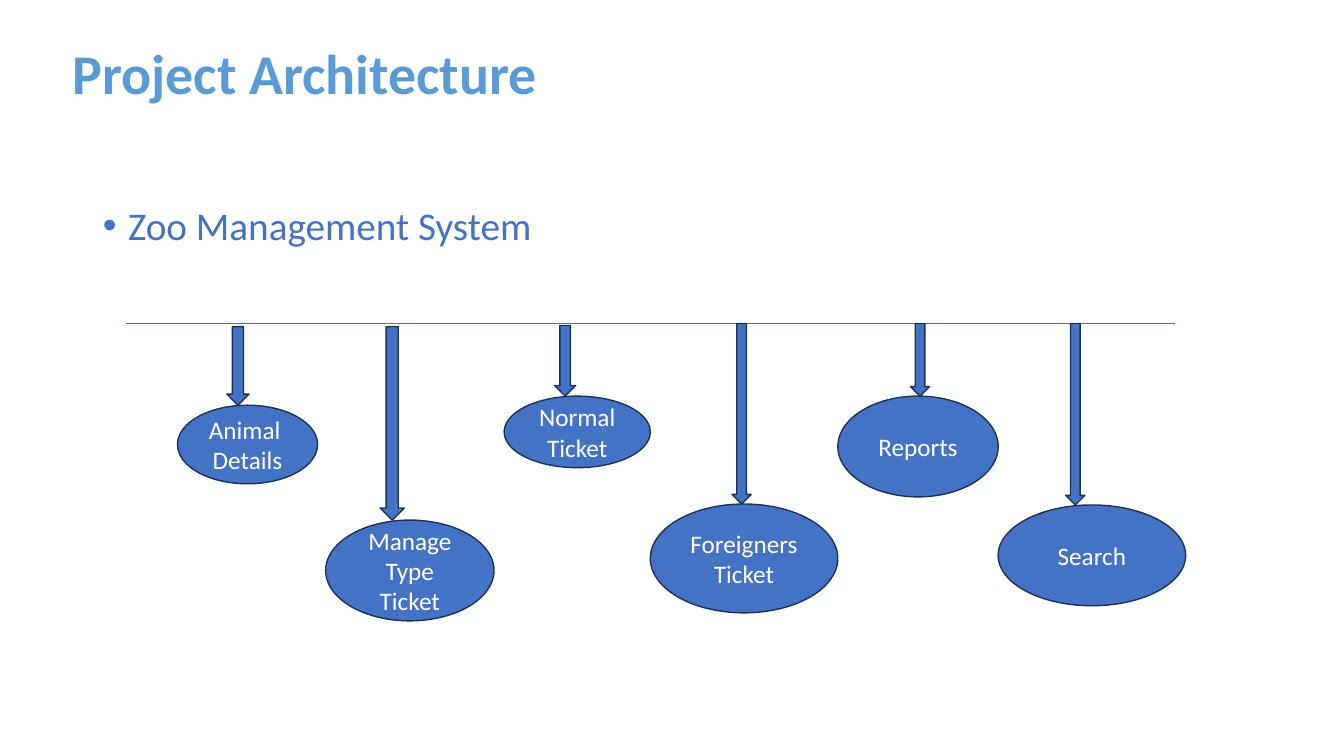
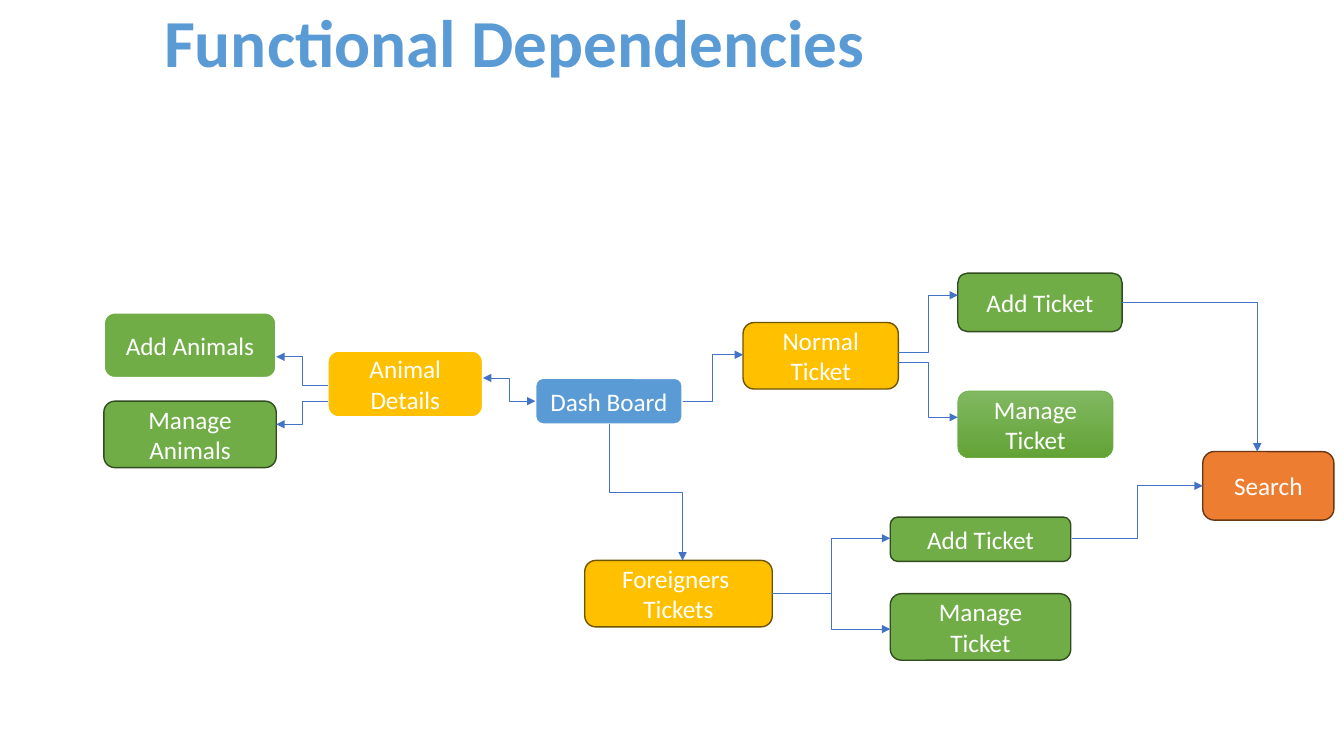
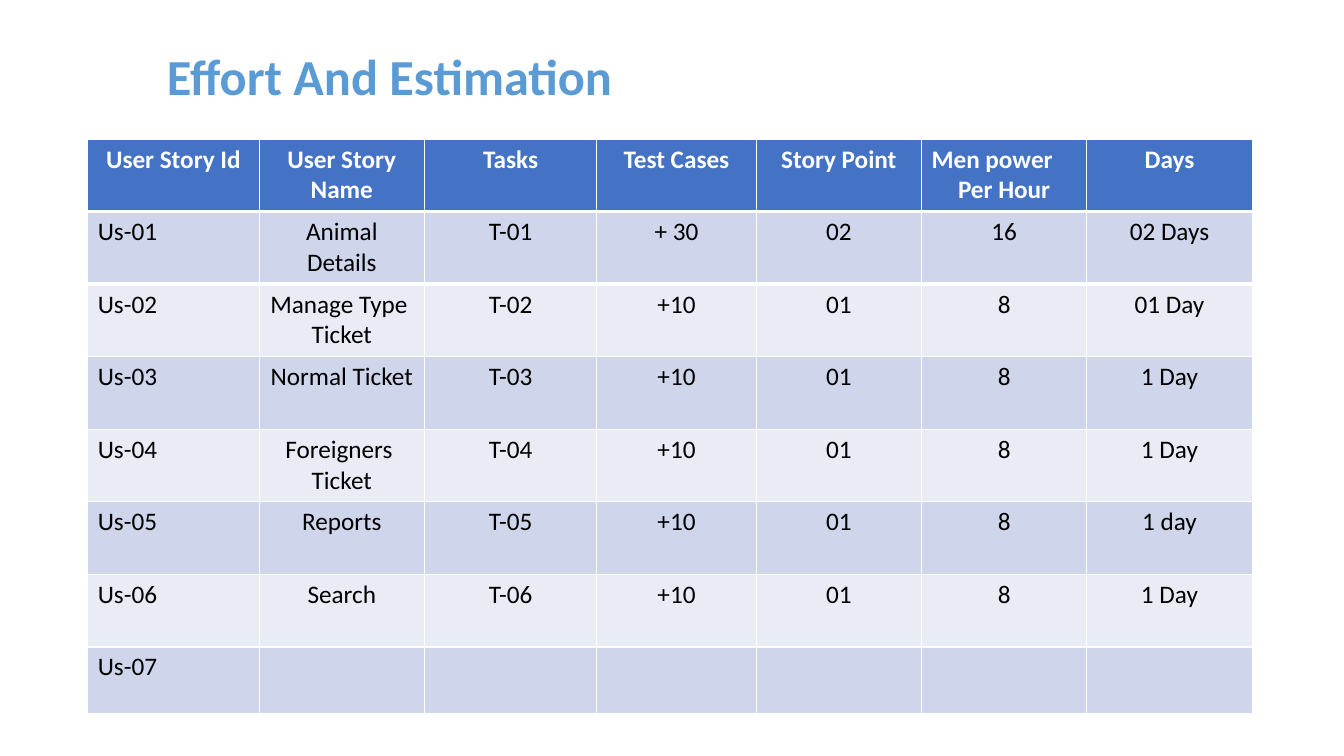
from pptx import Presentation
from pptx.dml.color import RGBColor
from pptx.enum.shapes import MSO_CONNECTOR as LINK, MSO_SHAPE as SHAPE
from pptx.enum.text import MSO_ANCHOR as ANCHOR, MSO_AUTO_SIZE as AUTOSIZE, PP_ALIGN as ALIGN
from pptx.oxml.ns import qn
from pptx.oxml.xmlchemy import OxmlElement
from pptx.util import Inches, Pt

COLORS = {
    "title": "5B9BD5", "blue": "4472C4", "navy": "1E3256", "white": "FFFFFF",
    "black": "000000", "sky": "5B9BD5", "amber": "FFC000", "brown": "705400",
    "green": "70AD47", "forest": "314C1F", "fresh": "81B861", "leaf": "62A336",
    "orange": "ED7D31", "rust": "683715", "band": "CFD5EA", "pale": "E9EBF5",
}
FONT = "Calibri"
LABEL = {"size": Pt(18), "name": FONT, "bold": False}
HEADING = {"name": FONT, "bold": True}
TITLE_FRAME = {"word_wrap": False, "auto_size": AUTOSIZE.NONE, "vertical_anchor": ANCHOR.TOP}
LABEL_FRAME = {"margin_top": 0, "margin_bottom": 0, "vertical_anchor": ANCHOR.MIDDLE}
BULLET = {"line_spacing": 0.9, "space_before": Pt(10)}

MODULES = [
    ("Animal \nDetails", (1.76, 4.02, 1.39, 0.78), (2.25, 3.24, 0.22)),
    ("Manage Type\nTicket", (3.23, 5.16, 1.67, 1), (3.77, 3.24, 0.24)),
    ("Normal\nTicket", (5, 3.93, 1.45, 0.71), (5.5, 3.23, 0.21)),
    ("Foreigners\nTicket", (6.45, 5, 1.86, 1.08), (7.26, 3.21, 0.19)),
    ("Reports", (8.31, 3.93, 1.59, 1), (9.03, 3.21, 0.19)),
    ("Search", (9.9, 5.01, 1.86, 1), (10.57, 3.21, 0.19)),
]
TWO_LINES = 0.66
FUNCTIONS = [
    ("Dash Board", (5.31, 3.75, 1.46, 0.46), "sky", "white", 1.5),
    ("Animal\nDetails", (3.25, 3.48, 1.54, TWO_LINES), "amber", "white", 1.5),
    ("Add Animals", (1.03, 3.1, 1.71, 0.65), "green", "white", 1.5),
    ("Manage Animals", (1.03, 3.98, 1.71, TWO_LINES), "green", "forest", 1),
    ("Normal\nTicket", (7.37, 3.2, 1.54, TWO_LINES), "amber", "brown", 1),
    ("Manage\nTicket", (9.5, 3.88, 1.54, TWO_LINES), ("fresh", "leaf"), "green", 0.5),
    ("Add Ticket", (9.5, 2.71, 1.63, 0.58), "green", "forest", 1),
    ("Foreigners \nTickets", (5.8, 5.56, 1.86, TWO_LINES), "amber", "brown", 1),
    ("Add Ticket", (8.83, 5.13, 1.79, 0.44), "green", "forest", 1),
    ("Manage\nTicket", (8.83, 5.89, 1.79, TWO_LINES), "green", "forest", 1),
    ("Search", (11.93, 4.48, 1.3, 0.68), "orange", "rust", 1),
]
DEPENDENCIES = [
    ((3.25, 3.82), (2.74, 3.54)),
    ((3.25, 3.98), (2.74, 4.21)),
    ((6.77, 3.98), (7.37, 3.52)),
    ((8.91, 3.59), (9.5, 4.14)),
    ((8.91, 3.5), (9.5, 2.93)),
    ((7.66, 5.89), (8.83, 5.34)),
    ((7.66, 5.89), (8.83, 6.24)),
    ((10.63, 5.34), (11.93, 4.82)),
]
HEADERS = ["User Story Id", "User Story\nName", "Tasks", "Test Cases", "Story Point",
           "Men power\nPer Hour", "Days"]
STORIES = [
    ("Animal Details", "+ 30", "02", "16", "02 Days"),
    ("Manage Type \nTicket", "+10", "01", "8", "01 Day"),
    ("Normal Ticket", "+10", "01", "8", "1 Day"),
    ("Foreigners \nTicket", "+10", "01", "8", "1 Day"),
    ("Reports", "+10", "01", "8", "1 day"),
    ("Search", "+10", "01", "8", "1 Day"),
]
COLUMN_WIDTHS = [1.7, 1.64, 1.71, 1.58, 1.64, 1.64, 1.64]
ROW_HEIGHTS = [0.72] * 7 + [0.66]


def rgb(key):
    return RGBColor.from_string(COLORS[key])


def apply(target, values):
    for attribute, value in values.items():
        setattr(target, attribute, value)


def place(shape, box):
    apply(shape, dict(zip(("left", "top", "width", "height"), map(Inches, box))))


def write(frame, text, color, font, align=ALIGN.CENTER):
    frame.text = text
    for paragraph in frame.paragraphs:
        paragraph.alignment = align
        for run in paragraph.runs:
            apply(run.font, font)
            run.font.color.rgb = rgb(color)


def add_slide(deck, layout, title, box, size):
    slide = deck.slides.add_slide(deck.slide_layouts[layout])
    heading = slide.shapes.title
    place(heading, box)
    apply(heading.text_frame, TITLE_FRAME)
    write(heading.text_frame, title, "title", {**HEADING, "size": Pt(size)})
    return slide


def add_block(slide, kind, box, fill, line, weight=1, text=""):
    block = slide.shapes.add_shape(kind, *map(Inches, box))
    block.shadow.inherit = False
    if isinstance(fill, tuple):
        block.fill.gradient()
        block.fill.gradient_angle = 270
        for stop, color in zip(block.fill.gradient_stops, fill):
            stop.color.rgb = rgb(color)
    else:
        block.fill.solid()
        block.fill.fore_color.rgb = rgb(fill)
    block.line.color.rgb = rgb(line)
    block.line.width = Pt(weight)
    if text:
        apply(block.text_frame, LABEL_FRAME)
        write(block.text_frame, text, "white", LABEL)


def add_link(slide, start, end, kind=LINK.ELBOW, ends=("tailEnd",)):
    link = slide.shapes.add_connector(kind, *map(Inches, (*start, *end)))
    link.line.color.rgb = rgb("blue")
    link.line.width = Pt(0.5)
    for tag in ends:
        arrowhead = OxmlElement(f"a:{tag}")
        arrowhead.set("type", "triangle")
        link.line._get_or_add_ln().append(arrowhead)
    properties = link._element.spPr
    properties.append(OxmlElement("a:effectLst"))
    return properties


def add_falling_link(slide, start, end):
    (x1, y1), (x2, y2) = start, end
    middle_x, middle_y = (x1 + x2) / 2, (y1 + y2) / 2
    reach, drop = (x2 - x1) / 2, (y2 - y1) / 2
    properties = add_link(slide, (middle_x + drop, middle_y - reach),
                          (middle_x - drop, middle_y + reach))
    properties.find(qn("a:xfrm")).set("rot", "16200000")


def add_corner_link(slide, start, end):
    properties = add_link(slide, start, end)
    properties.find(qn("a:prstGeom")).set("prst", "bentConnector2")


def add_border(cell, side, weight):
    border = OxmlElement(f"a:{side}")
    border.set("w", str(Pt(weight)))
    fill = OxmlElement("a:solidFill")
    color = OxmlElement("a:srgbClr")
    color.set("val", COLORS["white"])
    fill.append(color)
    border.append(fill)
    cell._tc.get_or_add_tcPr().insert(0, border)


def build_architecture(deck):
    slide = add_slide(deck, 1, "Project Architecture", (0.59, 0.33, 4.86, 0.77), 40)
    system = slide.placeholders[1]
    place(system, (0.92, 2, 11.5, 4.76))
    write(system.text_frame, "Zoo Management System", "blue",
          {"size": Pt(28), "name": FONT}, ALIGN.LEFT)
    bullet = system.text_frame.paragraphs[0]
    apply(bullet, BULLET)
    indents = bullet._p.get_or_add_pPr()
    indents.set("marL", str(Inches(0.25)))
    indents.set("indent", str(-Inches(0.25)))
    add_link(slide, (1.25, 3.21), (11.65, 3.21), LINK.STRAIGHT, ())
    for name, oval, (left, top, width) in MODULES:
        add_block(slide, SHAPE.DOWN_ARROW, (left, top, width, oval[1] - top), "blue", "navy")
        add_block(slide, SHAPE.OVAL, oval, "blue", "navy", text=name)


def build_dependencies(deck):
    slide = add_slide(deck, 5, "Functional Dependencies", (1.31, -0.05, 7.59, 0.91), 48)
    for name, box, fill, line, weight in FUNCTIONS:
        add_block(slide, SHAPE.ROUNDED_RECTANGLE, box, fill, line, weight, name)
    for start, end in DEPENDENCIES:
        add_link(slide, start, end)
    add_link(slide, (4.79, 3.75), (5.31, 3.98), ends=("headEnd", "tailEnd"))
    add_falling_link(slide, (6.04, 4.21), (6.77, 5.56))
    add_corner_link(slide, (11.13, 3), (12.47, 4.48))


def build_estimation(deck):
    slide = add_slide(deck, 5, "Effort And Estimation", (1.15, 0.4, 5.43, 0.71), 36)
    rows = [HEADERS]
    for number, (story, *figures) in enumerate(STORIES, 1):
        rows.append([f"Us-{number:02}", story, f"T-{number:02}", *figures])
    rows.append(["Us-07"] + [""] * 6)
    estimate = slide.shapes.add_table(
        len(rows), len(HEADERS), Inches(0.87), Inches(1.38),
        Inches(sum(COLUMN_WIDTHS)), Inches(sum(ROW_HEIGHTS))).table
    for column, width in zip(estimate.columns, COLUMN_WIDTHS):
        column.width = Inches(width)
    for row, height in zip(estimate.rows, ROW_HEIGHTS):
        row.height = Inches(height)
    for r, texts in enumerate(rows):
        header = r == 0
        fill = "blue" if header else ("pale", "band")[r % 2]
        for c, text in enumerate(texts):
            cell = estimate.cell(r, c)
            cell.fill.solid()
            cell.fill.fore_color.rgb = rgb(fill)
            align = ALIGN.CENTER if header or c else ALIGN.LEFT
            write(cell.text_frame, text, "white" if header else "black",
                  {**LABEL, "bold": header}, align)
            if r < 2:
                add_border(cell, "lnB" if header else "lnT", 3)
    men_power = estimate.cell(0, HEADERS.index("Men power\nPer Hour"))
    men_power.text_frame.paragraphs[0].alignment = ALIGN.LEFT


def main():
    deck = Presentation()
    deck.slide_width, deck.slide_height = Inches(13.33), Inches(7.5)
    build_architecture(deck)
    build_dependencies(deck)
    build_estimation(deck)
    deck.save("out.pptx")


if __name__ == "__main__":
    main()
